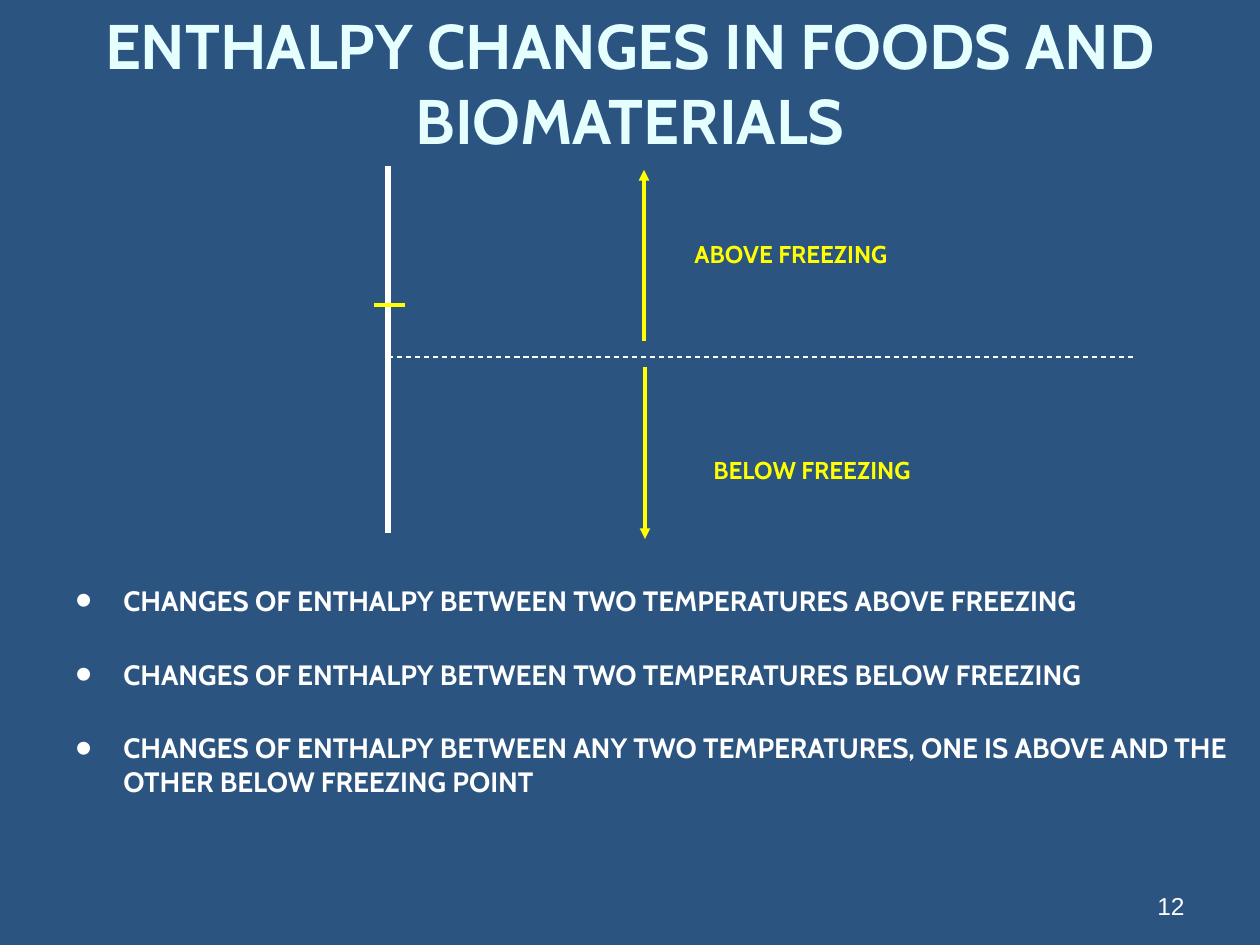
from dataclasses import dataclass

from lxml import etree
from pptx import Presentation
from pptx import util as u
from pptx.dml.color import RGBColor
from pptx.enum import dml, shapes, text
from pptx.oxml import ns

PX = 914400 / 126


@dataclass(frozen=True)
class Theme:
    back: str = "2B5481"
    title: str = "E5FFFF"
    body: str = "FFFFFF"
    accent: str = "FFFF00"
    font: str = "Cabin"
    number_font: str = "Arial"
    title_size: int = 36
    label_size: int = 24
    body_size: int = 16
    number_size: int = 14


T = Theme()
BULLETS = [
    "CHANGES OF ENTHALPY BETWEEN TWO TEMPERATURES ABOVE FREEZING",
    "CHANGES OF ENTHALPY BETWEEN TWO TEMPERATURES BELOW FREEZING",
    "CHANGES OF ENTHALPY BETWEEN ANY TWO TEMPERATURES, ONE IS ABOVE AND THE OTHER BELOW FREEZING POINT",
]


def px(n):
    return u.Emu(round(n * PX))


def sub(parent, tag, **attrs):
    return etree.SubElement(parent, ns.qn(tag), attrs)


def add_box(s, x, y, w, h, anchor=text.MSO_ANCHOR.TOP):
    tf = s.shapes.add_textbox(px(x), px(y), px(w), px(h)).text_frame
    tf.word_wrap = True
    tf.vertical_anchor = anchor
    return tf


def add_run(p, words, size, color, font=T.font, bold=True):
    r = p.add_run()
    r.text = words
    r.font.name = font
    r.font.size = u.Pt(size)
    r.font.bold = bold
    r.font.color.rgb = RGBColor.from_string(color)
    return r


def add_title(s, words):
    tf = add_box(s, 63, 24, 1134, 116, text.MSO_ANCHOR.MIDDLE)
    p = tf.paragraphs[0]
    p.alignment = text.PP_ALIGN.CENTER
    add_run(p, words, T.title_size, T.title)


def add_number(s, words):
    tf = add_box(s, 903, 861, 294, 66, text.MSO_ANCHOR.BOTTOM)
    p = tf.paragraphs[0]
    p.alignment = text.PP_ALIGN.RIGHT
    add_run(p, words, T.number_size, T.body, T.number_font, False)


def add_label(s, x, y, words):
    tf = add_box(s, x, y, 306, 47)
    tf.auto_size = text.MSO_AUTO_SIZE.SHAPE_TO_FIT_TEXT
    r = add_run(tf.paragraphs[0], words, T.label_size, T.accent)
    r.font._element.set("baseline", "-25000")


def add_bullets(s, items):
    tf = add_box(s, 63, 577, 1197, 294)
    for i, words in enumerate(items):
        p = tf.add_paragraph() if i else tf.paragraphs[0]
        pPr = p._p.get_or_add_pPr()
        pPr.set("marL", str(px(48)))
        pPr.set("indent", str(-px(48)))
        sub(sub(pPr, "a:buClr"), "a:srgbClr", val=T.body)
        sub(pPr, "a:buSzPct", val="170000")
        sub(pPr, "a:buFont", typeface=T.number_font)
        sub(pPr, "a:buChar", char="•")
        if i:
            p.space_before = u.Pt(23)
        add_run(p, words, T.body_size, T.body)


def add_line(s, x1, y1, x2, y2, color, width, dashed=False, arrow=False):
    line = s.shapes.add_connector(
        shapes.MSO_CONNECTOR.STRAIGHT, px(x1), px(y1), px(x2), px(y2))
    line.line.color.rgb = RGBColor.from_string(color)
    line.line.width = u.Pt(width)
    if dashed:
        line.line.dash_style = dml.MSO_LINE.DASH
    if arrow:
        sub(line.line._get_or_add_ln(), "a:tailEnd", type="triangle")
    sub(line._element.spPr, "a:effectLst")


def add_diagram(s):
    add_line(s, 388, 166, 388, 533, T.body, 3.5)
    add_line(s, 388, 357, 1134, 357, T.body, 0.75, dashed=True)
    add_line(s, 374, 305, 405, 305, T.accent, 2.25)
    add_line(s, 644, 341, 644, 170, T.accent, 2, arrow=True)
    add_label(s, 682, 205, "ABOVE FREEZING")
    add_line(s, 645, 367, 645, 539, T.accent, 2, arrow=True)
    add_label(s, 701, 421, "BELOW FREEZING")


def main():
    prs = Presentation()
    prs.slide_width, prs.slide_height = px(1260), px(945)
    s = prs.slides.add_slide(prs.slide_layouts[6])
    s.background.fill.solid()
    s.background.fill.fore_color.rgb = RGBColor.from_string(T.back)
    add_number(s, "12")
    add_title(s, "ENTHALPY CHANGES IN FOODS AND BIOMATERIALS")
    add_bullets(s, BULLETS)
    add_diagram(s)
    prs.save("out.pptx")


if __name__ == "__main__":
    main()
